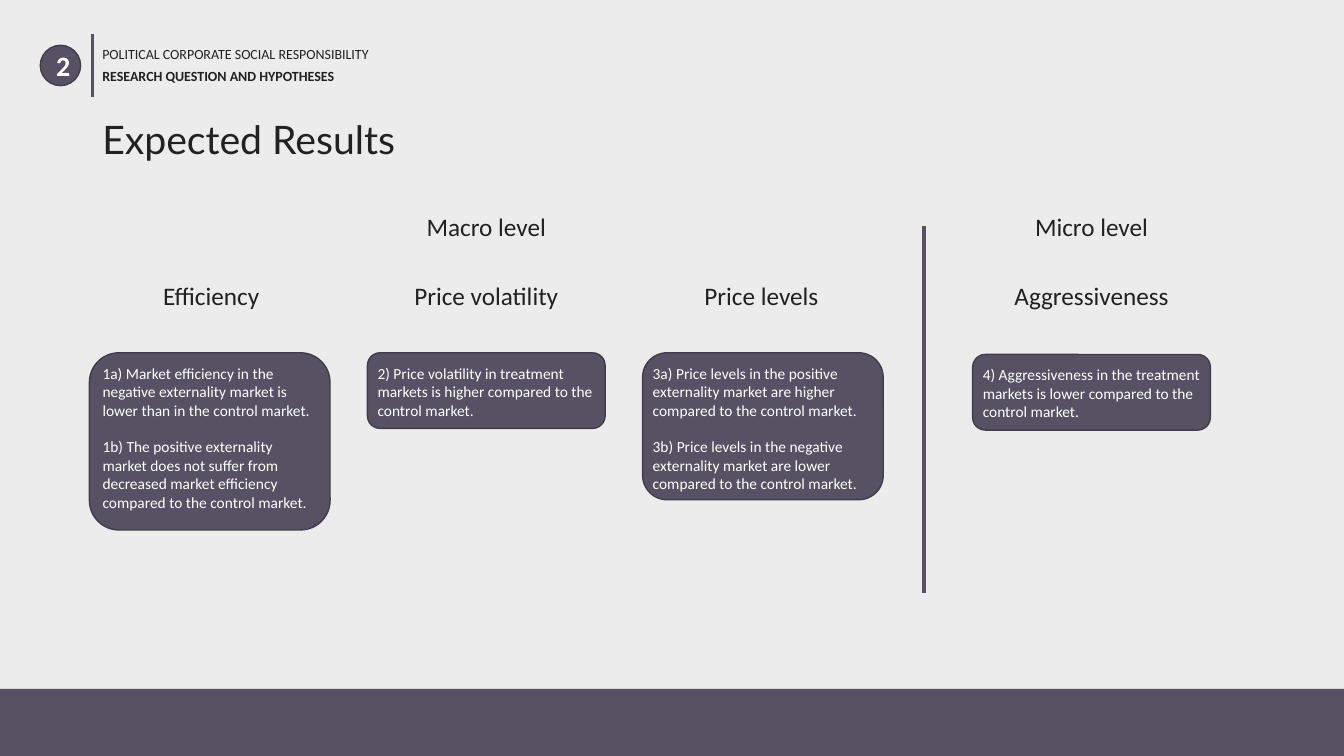
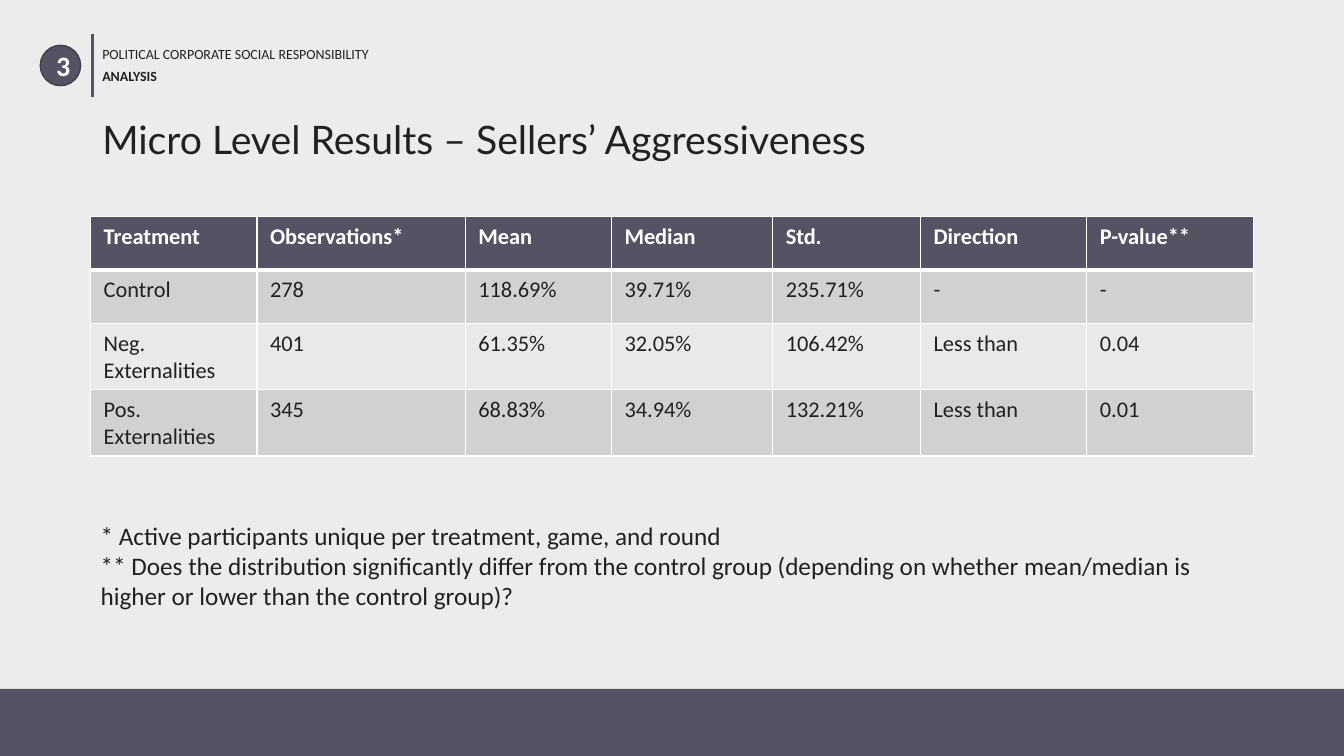
import pptx
import pptx.dml.color
import pptx.enum.shapes
import pptx.enum.text
import pptx.util
from lxml import etree

COLS, ROWS = 160, 90
LEFT, PITCH, WIDE = 11, 32.75, 28.3
SLATE, EDGE, INK, WHITE, PAPER = "565264", "403D4A", "212121", "FFFFFF", "ECECEC"
BANDS = ["D1D1D3", "E9E9EA"]
SHAPES = pptx.enum.shapes.MSO_SHAPE
ALIGN = pptx.enum.text.PP_ALIGN
ANCHOR = pptx.enum.text.MSO_ANCHOR
NS = "http://schemas.openxmlformats.org/drawingml/2006/main"


def grid(cells):
    return pptx.util.Pt(6 * cells)


def box(*cells):
    return [grid(c) for c in cells]


def hue(code):
    return pptx.dml.color.RGBColor.from_string(code)


def paint(fill, code):
    fill.solid()
    fill.fore_color.rgb = hue(code)


class Deck:
    font, head = "Calibri", "Lato"

    def __init__(self):
        self.file = pptx.Presentation()
        self.file.slide_width, self.file.slide_height = box(COLS, ROWS)
        paint(self.file.slide_master.background.fill, PAPER)

    def page(self, mark, part, title):
        self.slide = self.file.slides.add_slide(self.file.slide_layouts[6])
        self.shape(SHAPES.RECTANGLE, 0, 82, COLS, 8)
        disc = self.shape(SHAPES.OVAL, 4.8, 5.4, 4.8, 4.8, EDGE)
        self.typeset(disc.text_frame, [mark], 20, WHITE, True, ALIGN.CENTER)
        self.rule(LEFT, 4.1, 11.5)
        self.text(LEFT, 4.8, 52, 3.2, ["POLITICAL CORPORATE SOCIAL RESPONSIBILITY"], 10)
        self.text(LEFT, 7.5, 52, 3.2, [part], 10, bold=True)
        frame = self.text(LEFT, 11.65, 138, 10.5, [title], 28, font=self.head)
        frame.vertical_anchor = ANCHOR.MIDDLE
        frame.paragraphs[0].line_spacing = 0.9

    def shape(self, kind, x, y, w, h, edge=None):
        item = self.slide.shapes.add_shape(kind, *box(x, y, w, h))
        item.shadow.inherit = False
        paint(item.fill, SLATE)
        if edge:
            paint(item.line.fill, edge)
            item.line.width = pptx.util.Pt(1)
        else:
            item.line.fill.background()
        return item

    def typeset(self, frame, lines, size, tone=INK, bold=False,
                align=ALIGN.LEFT, font=None, gap=0):
        frame.word_wrap = True
        for i, line in enumerate(lines):
            para = frame.add_paragraph() if i else frame.paragraphs[0]
            para.text = line
            para.alignment = align
            para.space_before = pptx.util.Pt(gap if i else 0)
            para.font.name = font or self.font
            para.font.size = pptx.util.Pt(size)
            para.font.bold = bold
            para.font.color.rgb = hue(tone)

    def text(self, x, y, w, h, lines, size, **style):
        frame = self.slide.shapes.add_textbox(*box(x, y, w, h)).text_frame
        self.typeset(frame, lines, size, **style)
        return frame

    def label(self, col, y, line):
        self.text(LEFT + PITCH * col, y, WIDE, 4.8, [line], 18, align=ALIGN.CENTER)

    def card(self, col, y, h, lines, before=0, after=0):
        x = LEFT + PITCH * col - before
        item = self.shape(SHAPES.ROUNDED_RECTANGLE, x, y, WIDE + before + after, h, EDGE)
        bend = 0.29 * item.adjustments[0] * h
        frame = item.text_frame
        frame.margin_left = grid(1.2 + before - bend)
        frame.margin_right = grid(1.2 + after - bend)
        frame.margin_top = grid(1.3 - bend)
        frame.margin_bottom = 0
        frame.vertical_anchor = ANCHOR.TOP
        self.typeset(frame, lines, 11, WHITE, gap=13)

    def rule(self, x, top, end):
        line = self.slide.shapes.add_connector(
            pptx.enum.shapes.MSO_CONNECTOR.STRAIGHT, *box(x, top, x, end))
        line.line.width = pptx.util.Pt(2.25)
        paint(line.line.fill, SLATE)
        etree.SubElement(line._element.spPr, f"{{{NS}}}effectLst")

    def edges(self, cell, row):
        props = cell._tc.get_or_add_tcPr()
        thick = {(0, "B"), (1, "T")}
        for side in "LRTB":
            points = 3 if (row, side) in thick else 1
            line = etree.SubElement(props, f"{{{NS}}}ln{side}", w=str(pptx.util.Pt(points)))
            fill = etree.SubElement(line, f"{{{NS}}}solidFill")
            etree.SubElement(fill, f"{{{NS}}}srgbClr", val=WHITE)

    def table(self, x, y, widths, tall, data):
        size = box(x, y, sum(widths), tall * len(data))
        table = self.slide.shapes.add_table(len(data), len(widths), *size).table
        for col, wide in zip(table.columns, widths):
            col.width = grid(wide)
        for r, row in enumerate(data):
            table.rows[r].height = grid(tall)
            for c, value in enumerate(row):
                cell = table.cell(r, c)
                self.edges(cell, r)
                paint(cell.fill, BANDS[(r - 1) % 2] if r else SLATE)
                cell.margin_left = cell.margin_right = grid(1.55)
                cell.margin_top = cell.margin_bottom = grid(0.75)
                self.typeset(cell.text_frame, [value], 16, INK if r else WHITE, r == 0)


def expect(deck):
    deck.page("2", "RESEARCH QUESTION AND HYPOTHESES", "Expected Results")
    micro = 3.2
    deck.label(1, 24.6, "Macro level")
    deck.label(micro, 24.6, "Micro level")
    for col, name in [(0, "Efficiency"), (1, "Price volatility"),
                      (2, "Price levels"), (micro, "Aggressiveness")]:
        deck.label(col, 32.8, name)
    deck.card(0, 42, 21.1, [
        "1a) Market efficiency in the negative externality market is lower than in the control market.",
        "1b) The positive externality market does not suffer from decreased market efficiency "
        "compared to the control market."], before=0.35)
    deck.card(1, 42, 9, [
        "2) Price volatility in treatment markets is higher compared to the control market."])
    deck.card(2, 42, 17.5, [
        "3a) Price levels in the positive externality market are higher compared to the control market.",
        "3b) Price levels in the negative externality market are lower compared to the control market."],
        after=0.35)
    deck.card(micro, 42.2, 9, [
        "4) Aggressiveness in the treatment markets is lower compared to the control market."])
    deck.rule(110, 26.9, 70.6)


def result(deck):
    deck.page("3", "ANALYSIS", "Micro Level Results – Sellers’ Aggressiveness")
    deck.table(10.8, 25.8, [19.8, 24.8, 17.4, 19.2, 17.6, 19.8, 19.8], 6.35, [
        ["Treatment", "Observations*", "Mean", "Median", "Std.", "Direction", "P-value**"],
        ["Control", "278", "118.69%", "39.71%", "235.71%", "-", "-"],
        ["Neg. Externalities", "401", "61.35%", "32.05%", "106.42%", "Less than", "0.04"],
        ["Pos. Externalities", "345", "68.83%", "34.94%", "132.21%", "Less than", "0.01"]])
    deck.text(10.8, 61.3, 138.4, 12.1, [
        "* Active participants unique per treatment, game, and round",
        "** Does the distribution significantly differ from the control group "
        "(depending on whether mean/median is higher or lower than the control group)?"], 18)


def main():
    deck = Deck()
    expect(deck)
    result(deck)
    deck.file.save("out.pptx")


if __name__ == "__main__":
    main()
